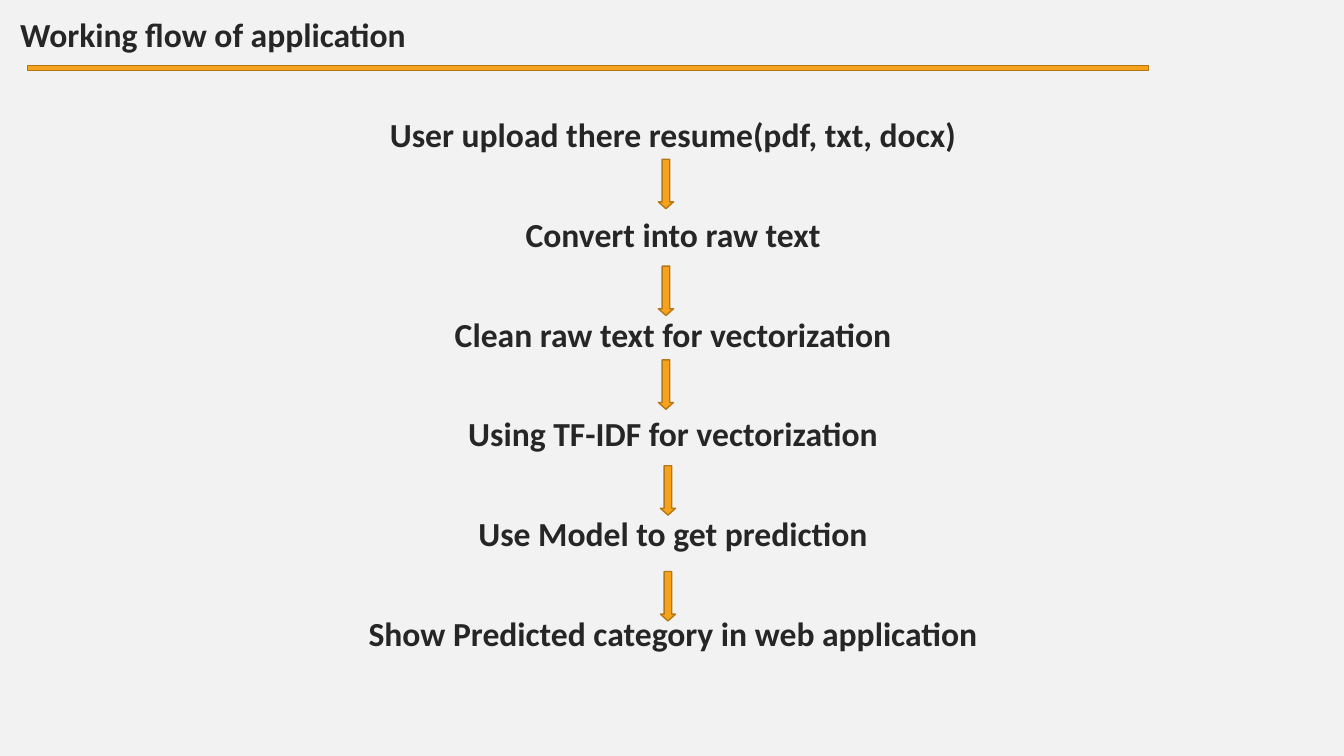
from dataclasses import dataclass

from pptx import Presentation
from pptx.dml.color import RGBColor
from pptx.enum.shapes import MSO_SHAPE as Shape
from pptx.enum.text import MSO_ANCHOR as Anchor, MSO_AUTO_SIZE as AutoSize, PP_ALIGN as Align
from pptx.util import Inches, Pt

INK, PAPER, ORANGE, EDGE = "262626", "F2F2F2", "F6A21D", "B67815"
LEFT, WIDTH = 0.1, 13.15
STEPS_TOP, STEPS_HEIGHT = 1.13, 5.6
STEP_GAP = 45.3  # points between one step and the next


@dataclass(frozen=True)
class Mark:
    kind: Shape
    left: float
    top: float
    width: float
    height: float
    adjustments: tuple[float, ...] = ()


def color(value: str) -> RGBColor:
    return RGBColor.from_string(value)


def place(sp, left: float, top: float, width: float, height: float) -> None:
    sp.left, sp.top, sp.width, sp.height = map(Inches, (left, top, width, height))


def write(sp, lines: list[str], align: Align, gap: float = 0) -> None:
    tf = sp.text_frame
    tf.text = "\n".join(lines)
    tf.word_wrap = True
    tf.auto_size = AutoSize.NONE
    tf.vertical_anchor = Anchor.TOP
    for i, p in enumerate(tf.paragraphs):
        p.alignment = align
        p.line_spacing = 0.9
        p.space_before = Pt(gap if i else 0)
        p.font.name, p.font.size, p.font.bold = "Calibri", Pt(24), True
        p.font.color.rgb = color(INK)


def draw(s, mark: Mark) -> None:
    box = map(Inches, (mark.left, mark.top, mark.width, mark.height))
    sp = s.shapes.add_shape(mark.kind, *box)
    for i, value in enumerate(mark.adjustments):
        sp.adjustments[i] = value
    sp.shadow.inherit = False
    sp.fill.solid()
    sp.fill.fore_color.rgb = color(ORANGE)
    sp.line.color.rgb = color(EDGE)
    sp.line.width = Pt(1)


prs = Presentation()
prs.slide_width, prs.slide_height = Inches(13.33), Inches(7.5)
s = prs.slides.add_slide(prs.slide_layouts[5])
s.background.fill.solid()
s.background.fill.fore_color.rgb = color(PAPER)

# Title and rule
place(s.shapes.title, LEFT, 0.13, WIDTH, 0.5)
write(s.shapes.title, ["Working flow of application"], Align.LEFT)
draw(s, Mark(Shape.RECTANGLE, 0.27, 0.65, 11.12, 0.05))

# Steps, evenly spaced in one text box
steps = [
    "User upload there resume(pdf, txt, docx)",
    "Convert into raw text",
    "Clean raw text for vectorization",
    "Using TF-IDF for vectorization",
    "Use Model to get prediction",
    "Show Predicted category in web application",
]
sp = s.shapes.add_textbox(*map(Inches, (LEFT, STEPS_TOP, WIDTH, STEPS_HEIGHT)))
write(sp, steps, Align.CENTER, STEP_GAP)

# Arrows between the steps
arrow_spots = [(6.53, 1.58), (6.53, 2.64), (6.53, 3.57), (6.55, 4.62), (6.55, 5.67)]
for left, top in arrow_spots:
    draw(s, Mark(Shape.DOWN_ARROW, left, top, 0.15, 0.49, (0.5, 0.45)))

prs.save("out.pptx")
